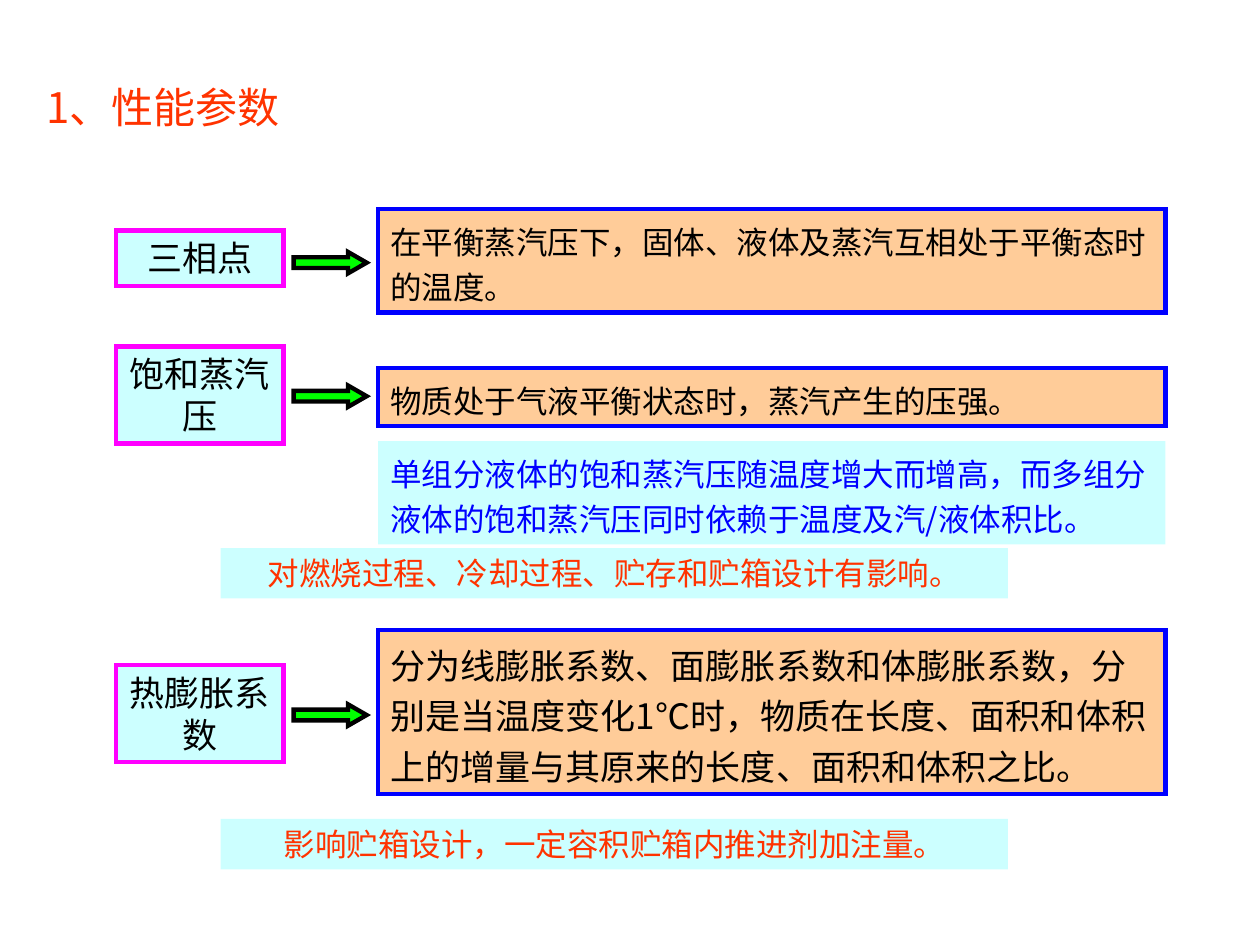
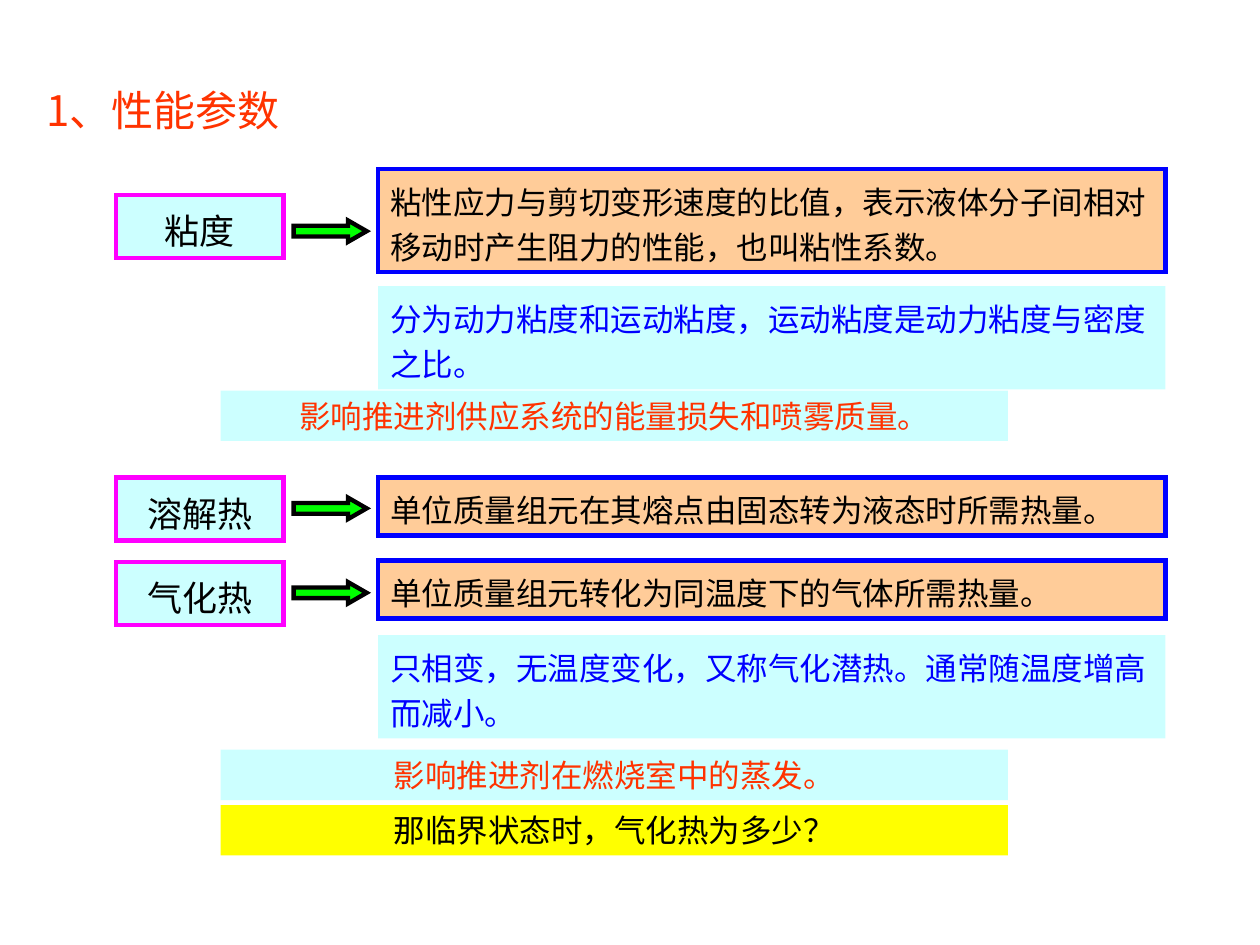
import pptx
import pptx.util
import pptx.dml.color
import pptx.enum.shapes
import pptx.enum.text
import pptx.oxml
import pptx.oxml.ns

Inches = pptx.util.Inches
Shapes = pptx.enum.shapes.MSO_SHAPE
Align = pptx.enum.text.PP_ALIGN

FONT = "Noto Sans CJK SC"
ORANGE, BLUE, BLACK = "FF3300", "0000FF", "000000"
PALE, PEACH, YELLOW, GREEN, PINK = "CCFFFF", "FFCC99", "FFFF00", "00FF00", "FF00FF"
TITLE = "1、性能参数"

# Left edge and width of each column, in inches
COLUMNS = {
    "title": (0.27, 8.25),
    "term": (0.92, 1.33),
    "arrow": (2.33, 0.58),
    "definition": (3, 6.25),
    "detail": (3, 6.25),
    "effect": (1.75, 6.25),
    "question": (1.75, 6.25),
}
LOOKS = {
    "title": {"size": 24, "color": ORANGE, "spacing": 1.3},
    "term": {"size": 20, "color": BLACK, "fill": PALE, "line": PINK, "align": Align.CENTER},
    "definition": {"size": 18, "color": BLACK, "fill": PEACH, "line": BLUE, "spacing": 1.2},
    "detail": {"size": 18, "color": BLUE, "fill": PALE, "spacing": 1.2},
    "effect": {"size": 18, "color": ORANGE, "fill": PALE, "align": Align.CENTER},
    "question": {"size": 18, "color": BLACK, "fill": YELLOW, "align": Align.CENTER},
}
TITLE_HEIGHT, ARROW_HEIGHT, NOTE_HEIGHT = 0.62, 0.17, 0.4
ONE_LINE, TWO_LINES, THREE_LINES = 0.46, 0.82, 1.3

# properties: (term, top, height), arrow top, (definition, top, height, text size)
# notes: (kind, text, top, height)
PAGES = [
    {
        "title_top": 0.48,
        "term_spacing": 1.0,
        "properties": [
            (("三相点", 1.83, 0.44), 2.0,
             ("在平衡蒸汽压下，固体、液体及蒸汽互相处于平衡态时的温度。", 1.66, TWO_LINES, 18)),
            (("饱和蒸汽压", 2.75, 0.77), 3.06,
             ("物质处于气液平衡状态时，蒸汽产生的压强。", 2.92, ONE_LINE, 18)),
            (("热膨胀系数", 5.28, 0.77), 5.59,
             ("分为线膨胀系数、面膨胀系数和体膨胀系数，分别是当温度变化1℃时，"
              "物质在长度、面积和体积上的增量与其原来的长度、面积和体积之比。", 5.0, THREE_LINES, 20)),
        ],
        "notes": [
            ("detail", "单组分液体的饱和蒸汽压随温度增大而增高，"
             "而多组分液体的饱和蒸汽压同时依赖于温度及汽/液体积比。", 3.5, TWO_LINES),
            ("effect", "对燃烧过程、冷却过程、贮存和贮箱设计有影响。", 4.35, NOTE_HEIGHT),
            ("effect", "影响贮箱设计，一定容积贮箱内推进剂加注量。", 6.5, NOTE_HEIGHT),
        ],
    },
    {
        "title_top": 0.5,
        "term_spacing": 1.2,
        "properties": [
            (("粘度", 1.55, 0.5), 1.75,
             ("粘性应力与剪切变形速度的比值，表示液体分子间相对移动时产生阻力的性能，"
              "也叫粘性系数。", 1.34, TWO_LINES, 18)),
            (("溶解热", 3.79, 0.5), 3.95,
             ("单位质量组元在其熔点由固态转为液态时所需热量。", 3.79, ONE_LINE, 18)),
            (("气化热", 4.46, 0.5), 4.62,
             ("单位质量组元转化为同温度下的气体所需热量。", 4.45, ONE_LINE, 18)),
        ],
        "notes": [
            ("detail", "分为动力粘度和运动粘度，运动粘度是动力粘度与密度之比。", 2.27, TWO_LINES),
            ("effect", "影响推进剂供应系统的能量损失和喷雾质量。", 3.1, NOTE_HEIGHT),
            ("detail", "只相变，无温度变化，又称气化潜热。通常随温度增高而减小。", 5.04, TWO_LINES),
            ("effect", "影响推进剂在燃烧室中的蒸发。", 5.95, NOTE_HEIGHT),
            ("question", "那临界状态时，气化热为多少？", 6.39, NOTE_HEIGHT),
        ],
    },
]


def rgb(value):
    return pptx.dml.color.RGBColor.from_string(value)


def set_all(target, values):
    for name, value in values.items():
        setattr(target, name, value)


def place(kind, top, height):
    """Position and size of a part in the column of its kind."""
    left, width = COLUMNS[kind]
    return [Inches(value) for value in (left, top, width, height)]


def paint(shape, fill, line=None):
    shape.shadow.inherit = False
    shape.fill.solid()
    shape.fill.fore_color.rgb = rgb(fill)
    if line is None:
        shape.line.fill.background()
        return
    shape.line.color.rgb = rgb(line)
    shape.line.width = pptx.util.Pt(2.5)
    miter = pptx.oxml.parse_xml(f'<a:miter {pptx.oxml.ns.nsdecls("a")} lim="800000"/>')
    shape.line._get_or_add_ln().append(miter)


def write(shape, text, look):
    frame = shape.text_frame
    set_all(frame, {
        "word_wrap": True,
        "vertical_anchor": pptx.enum.text.MSO_ANCHOR.TOP,
        "auto_size": pptx.enum.text.MSO_AUTO_SIZE.SHAPE_TO_FIT_TEXT,
    })
    para = frame.paragraphs[0]
    set_all(para, {
        "alignment": look.get("align", Align.LEFT),
        "line_spacing": look.get("spacing", 1.0),
    })
    span = para.add_run()
    span.text = text
    set_all(span.font, {"size": pptx.util.Pt(look["size"]), "name": FONT})
    span.font.color.rgb = rgb(look["color"])
    east_asian = pptx.oxml.parse_xml(
        f'<a:ea {pptx.oxml.ns.nsdecls("a")} typeface="{FONT}"/>')
    span.font._element.find(pptx.oxml.ns.qn("a:latin")).addnext(east_asian)


def add_box(page, kind, text, top, height, **changes):
    look = {**LOOKS[kind], **changes}
    area = place(kind, top, height)
    if "fill" in look:
        box = page.shapes.add_shape(Shapes.RECTANGLE, *area)
        paint(box, look["fill"], look.get("line"))
    else:
        box = page.shapes.add_textbox(*area)
    write(box, text, look)


def add_arrow(page, top):
    arrow = page.shapes.add_shape(Shapes.RIGHT_ARROW, *place("arrow", top, ARROW_HEIGHT))
    arrow.adjustments[0] = 0.5
    arrow.adjustments[1] = 0.87
    paint(arrow, GREEN, BLACK)


def build_page(deck, content):
    page = deck.slides.add_slide(deck.slide_layouts[6])
    add_box(page, "title", TITLE, content["title_top"], TITLE_HEIGHT)
    for term, arrow_top, (text, top, height, size) in content["properties"]:
        add_box(page, "term", *term, spacing=content["term_spacing"])
        add_arrow(page, arrow_top)
        add_box(page, "definition", text, top, height, size=size)
    for note in content["notes"]:
        add_box(page, *note)


def main():
    deck = pptx.Presentation()
    set_all(deck, {"slide_width": Inches(10), "slide_height": Inches(7.5)})
    for content in PAGES:
        build_page(deck, content)
    deck.save("out.pptx")


if __name__ == "__main__":
    main()
